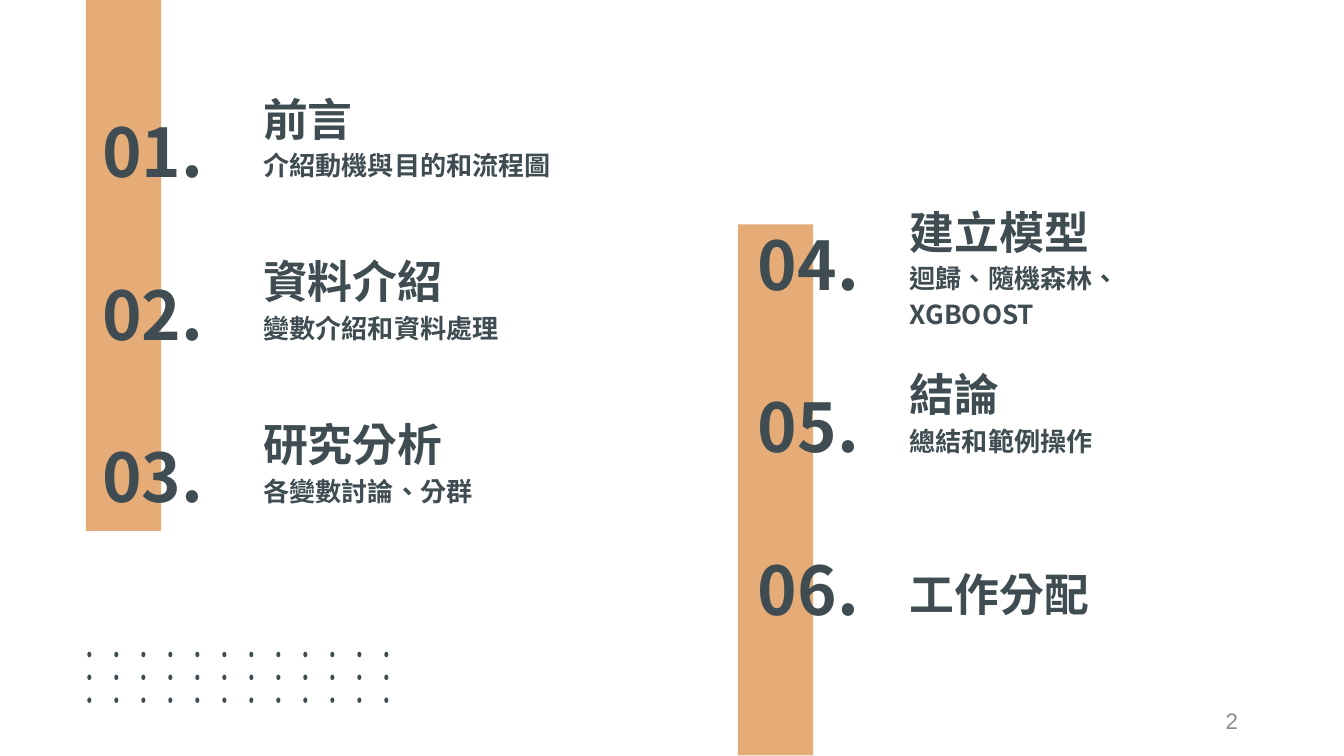
"""Build a contents slide with six numbered sections beside two colour bars."""
from dataclasses import dataclass

from lxml import etree
from pptx import Presentation
from pptx import util as u
from pptx.dml import color
from pptx.enum import shapes, text
from pptx.oxml import ns


@dataclass(frozen=True)
class Theme:
    ink: str = "3F4D53"
    bar: str = "E5AC77"
    gray: str = "8C8C8C"
    font: str = "Noto Sans CJK SC"
    plain: str = "Arial"
    num: int = 36
    head: int = 24
    sub: int = 14
    page: int = 12


theme = Theme()
deck = Presentation()
deck.slide_width = u.Inches(10)
deck.slide_height = u.Inches(10) * 9 // 16
slide = deck.slides.add_slide(deck.slide_layouts[6])


def draw(kind, left, top, width, height, fill):
    form = slide.shapes.add_shape(
        kind, u.Inches(left), u.Inches(top), u.Inches(width), u.Inches(height))
    form.shadow.inherit = False
    form.fill.solid()
    form.fill.fore_color.rgb = color.RGBColor.from_string(fill)
    form.line.fill.background()


def write(words, left, top, width, height, size, align="LEFT", anchor="TOP",
          font=theme.font, tint=theme.ink, bold=True):
    box = slide.shapes.add_textbox(
        u.Inches(left), u.Inches(top), u.Inches(width), u.Inches(height))
    frame = box.text_frame
    frame.text = words
    frame.word_wrap = True
    frame.vertical_anchor = text.MSO_ANCHOR[anchor]
    frame.margin_left = frame.margin_right = u.Inches(0.1)
    frame.margin_top = frame.margin_bottom = u.Inches(0.1)
    line = frame.paragraphs[0]
    line.alignment = text.PP_ALIGN[align]
    run = line.runs[0]
    run.font.size = u.Pt(size)
    run.font.bold = bold
    run.font.color.rgb = color.RGBColor.from_string(tint)
    run.font.name = font
    run.font._element.set("lang", "zh-TW")
    etree.SubElement(run.font._element, ns.qn("a:ea"), typeface=font)
    return line


columns = [
    (0.64, 0, 0.17, 0.93, 1.86, [
        ("01.", "前言", "介紹動機與目的和流程圖"),
        ("02.", "資料介紹", "變數介紹和資料處理"),
        ("03.", "研究分析", "各變數討論、分群"),
    ]),
    (5.49, 1.67, 5.05, 1.77, 6.67, [
        ("04.", "建立模型", "迴歸、隨機森林、XGBOOST"),
        ("05.", "結論", "總結和範例操作"),
        ("06.", "工作分配", None),
    ]),
]
step = 1.21

for edge, start, side, first, left, items in columns:
    draw(shapes.MSO_SHAPE.RECTANGLE, edge, start, 0.56, 3.95, theme.bar)
    for row, (num, head, sub) in enumerate(items):
        top = first + row * step
        write(num, side, top, 1.44, 0.59, theme.num, "RIGHT", "BOTTOM")
        lift = 0.35 if sub else 0.07
        write(head, left, top - lift, 3.01, 0.48, theme.head)
        if sub:
            line = write(sub, left, top + 0.05, 2.64, 0.48, theme.sub)
            line.line_spacing = 1.15
            line.space_after = u.Pt(16)

for row in range(3):
    for col in range(12):
        draw(shapes.MSO_SHAPE.OVAL, 0.65 + col * 2.21 / 11, 4.85 + row * 0.17,
             0.03, 0.04, theme.ink)

write("2", 7.06, 5.21, 2.25, 0.3, theme.page, "RIGHT", "MIDDLE",
      theme.plain, theme.gray, False)

deck.save("out.pptx")
